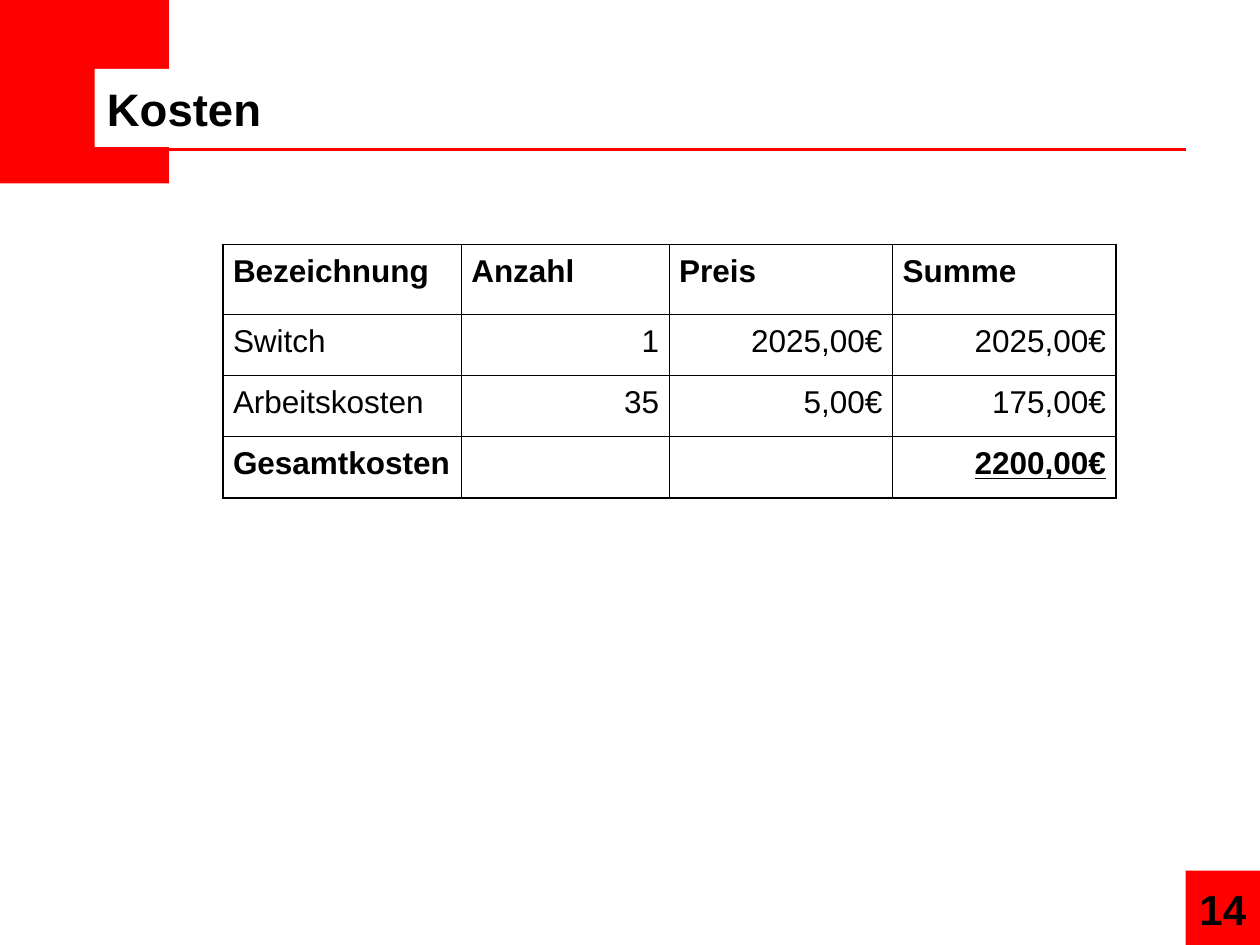
from dataclasses import dataclass

from lxml.etree import SubElement
from pptx import Presentation
from pptx.dml.color import RGBColor
from pptx.enum.shapes import MSO_CONNECTOR, MSO_SHAPE
from pptx.enum.text import MSO_ANCHOR, PP_ALIGN
from pptx.oxml.ns import qn
from pptx.slide import Slide
from pptx.table import _Cell as Cell
from pptx.text.text import _Paragraph as Paragraph
from pptx.util import Pt

COLORS = {"accent": "FF0000", "paper": "FFFFFF", "ink": "000000", "shadow": "C0C0C0"}
FONT = "Arial"
OUTER_BORDER, INNER_BORDER = 1.08, 0.11
COLUMN_WIDTHS = (136.2, 118.8, 127.7, 127.7)
ROW_HEIGHTS = (39.6, 35.1, 35.1, 35.1)
COST_ROWS = (
    ("Bezeichnung", "Anzahl", "Preis", "Summe"),
    ("Switch", "1", "2025,00€", "2025,00€"),
    ("Arbeitskosten", "35", "5,00€", "175,00€"),
    ("Gesamtkosten", "", "", "2200,00€"),
)


@dataclass(frozen=True)
class Block:
    left: float
    top: float
    width: float
    height: float
    color: str


@dataclass(frozen=True)
class Label:
    text: str
    left: float
    top: float
    width: float
    height: float
    size: float
    inset: float
    align: PP_ALIGN
    anchor: MSO_ANCHOR
    line_spacing: float = 1.0


BLOCKS = (
    Block(677.5, 497.5, 42.5, 42.5, "accent"),
    Block(0, 0, 96.5, 104.8, "accent"),
)
TITLE_BLOCK = Block(54, 39.4, 481.7, 44.6, "paper")
TITLE = Label("Kosten", 54, 39.4, 481.7, 44.6, 26, 7.2, PP_ALIGN.LEFT, MSO_ANCHOR.MIDDLE)
PAGE_NUMBER = Label("14", 677.5, 502.6, 42.5, 37.4, 24, 5.76, PP_ALIGN.CENTER, MSO_ANCHOR.TOP, 0.9)


def color(name: str) -> RGBColor:
    """Return the named colour."""
    return RGBColor.from_string(COLORS[name])


def style_paragraph(paragraph: Paragraph, size: float, bold: bool) -> None:
    """Set the font of a whole paragraph."""
    font = paragraph.font
    font.name, font.size, font.bold = FONT, Pt(size), bold
    font.color.rgb = color("ink")


def draw_block(slide: Slide, block: Block) -> None:
    """Draw a plain filled rectangle."""
    shape = slide.shapes.add_shape(
        MSO_SHAPE.RECTANGLE, Pt(block.left), Pt(block.top), Pt(block.width), Pt(block.height)
    )
    shape.shadow.inherit = False
    shape.fill.solid()
    shape.fill.fore_color.rgb = color(block.color)
    shape.line.fill.background()


def draw_rule(slide: Slide) -> None:
    """Draw the line under the title."""
    rule = slide.shapes.add_connector(
        MSO_CONNECTOR.STRAIGHT, Pt(48.2), Pt(85.5), Pt(677.9), Pt(85.5)
    )
    rule.line.color.rgb = color("accent")
    rule.line.width = Pt(1.5)
    SubElement(rule._element.spPr, qn("a:effectLst"))


def draw_label(slide: Slide, label: Label) -> Paragraph:
    """Draw a bold text box and return its paragraph."""
    box = slide.shapes.add_textbox(
        Pt(label.left), Pt(label.top), Pt(label.width), Pt(label.height)
    )
    frame = box.text_frame
    frame.word_wrap = True
    frame.vertical_anchor = label.anchor
    frame.margin_left = frame.margin_right = Pt(label.inset)
    frame.margin_top = frame.margin_bottom = Pt(label.inset)
    paragraph = frame.paragraphs[0]
    paragraph.text = label.text
    paragraph.alignment = label.align
    paragraph.line_spacing = label.line_spacing
    style_paragraph(paragraph, label.size, True)
    return paragraph


def add_text_shadow(paragraph: Paragraph) -> None:
    """Give the first run a small offset shadow."""
    properties = paragraph.runs[0].font._element
    effects = SubElement(properties, qn("a:effectLst"))
    shadow = SubElement(effects, qn("a:outerShdw"), dist=str(Pt(1.5)), dir="2700000")
    SubElement(shadow, qn("a:srgbClr"), val=COLORS["shadow"])


def set_border(cell: Cell, side: str, width: float) -> None:
    """Set one border line of a table cell."""
    properties = cell._tc.get_or_add_tcPr()
    line = SubElement(properties, qn(f"a:ln{side}"), w=str(Pt(width)))
    fill = SubElement(line, qn("a:solidFill"))
    SubElement(fill, qn("a:srgbClr"), val=COLORS["ink"])


def fill_cell(cell: Cell, row: int, column: int) -> None:
    """Write, align and border one cell of the cost table."""
    last_row, last_column = len(ROW_HEIGHTS) - 1, len(COLUMN_WIDTHS) - 1
    outer_sides = {
        "L": column == 0,
        "R": column == last_column,
        "T": row == 0,
        "B": row == last_row,
    }
    for side, is_outer in outer_sides.items():
        set_border(cell, side, OUTER_BORDER if is_outer else INNER_BORDER)
    cell.fill.background()
    cell.margin_left = cell.margin_right = Pt(5.76)
    cell.margin_top = cell.margin_bottom = Pt(3.6)
    paragraph = cell.text_frame.paragraphs[0]
    paragraph.text = COST_ROWS[row][column]
    paragraph.alignment = PP_ALIGN.RIGHT if row and column else PP_ALIGN.LEFT
    paragraph.line_spacing = 1.1
    paragraph.space_after = Pt(9)
    style_paragraph(paragraph, 18, row in (0, last_row))
    if (row, column) == (last_row, last_column):
        paragraph.font.underline = True


def draw_cost_table(slide: Slide) -> None:
    """Draw the table of costs."""
    table = slide.shapes.add_table(
        len(ROW_HEIGHTS), len(COLUMN_WIDTHS), Pt(127.4), Pt(139.7),
        Pt(sum(COLUMN_WIDTHS)), Pt(sum(ROW_HEIGHTS)),
    ).table
    table.first_row = table.horz_banding = False
    for column, width in zip(table.columns, COLUMN_WIDTHS):
        column.width = Pt(width)
    for row, height in zip(table.rows, ROW_HEIGHTS):
        row.height = Pt(height)
    for row in range(len(ROW_HEIGHTS)):
        for column in range(len(COLUMN_WIDTHS)):
            fill_cell(table.cell(row, column), row, column)


def main() -> None:
    """Build and save the cost slide."""
    presentation = Presentation()
    presentation.slide_width, presentation.slide_height = Pt(720), Pt(540)
    slide = presentation.slides.add_slide(presentation.slide_layouts[6])
    for block in BLOCKS:
        draw_block(slide, block)
    draw_rule(slide)
    draw_block(slide, TITLE_BLOCK)
    draw_label(slide, TITLE)
    add_text_shadow(draw_label(slide, PAGE_NUMBER))
    draw_cost_table(slide)
    presentation.save("out.pptx")


if __name__ == "__main__":
    main()
